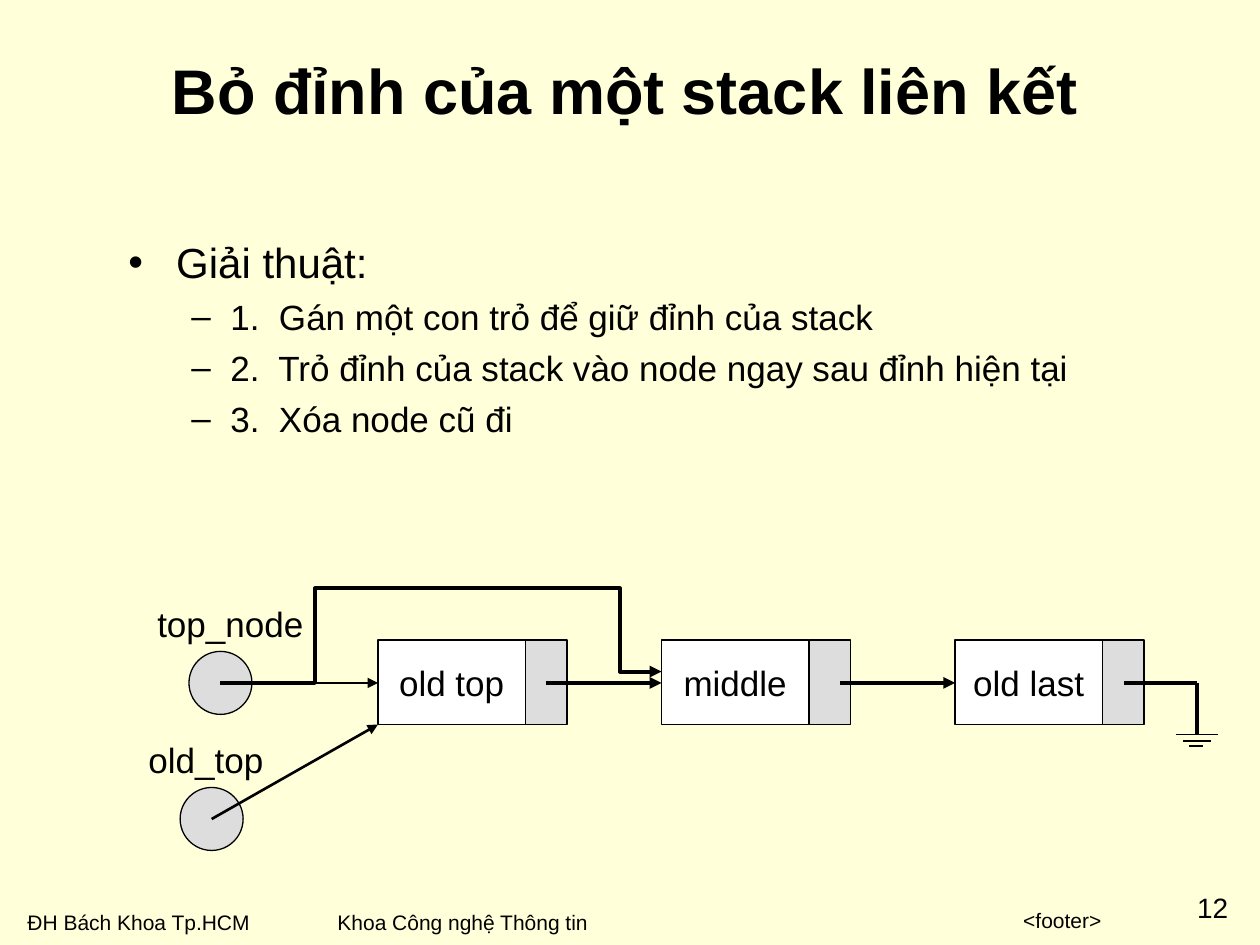
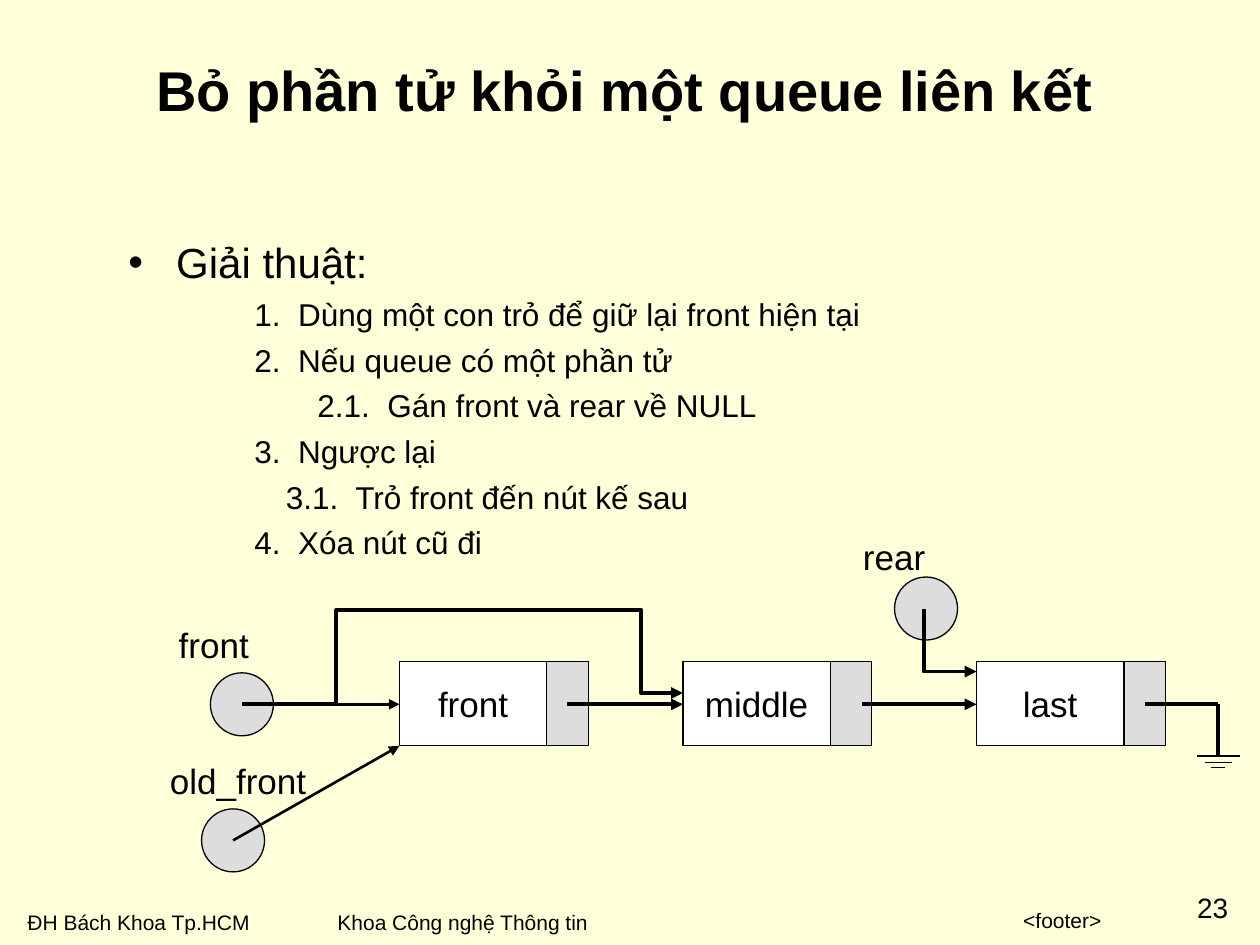
from lxml.etree import SubElement
from pptx import Presentation
from pptx.dml.color import RGBColor
from pptx.enum.shapes import MSO_CONNECTOR, MSO_SHAPE
from pptx.enum.text import MSO_ANCHOR, MSO_AUTO_SIZE, PP_ALIGN
from pptx.oxml.ns import qn
from pptx.util import Inches, Pt

HUES = {"page": "FFFFD9", "ink": "000000", "node": "FFFFFF", "link": "DDDDDD"}
RGB = {name: RGBColor.from_string(hue) for name, hue in HUES.items()}
FIT = MSO_AUTO_SIZE.SHAPE_TO_FIT_TEXT
LEFT, MID, RIGHT = PP_ALIGN.LEFT, PP_ALIGN.CENTER, PP_ALIGN.RIGHT

STYLES = {
    "title": ({"word_wrap": True, "vertical_anchor": MSO_ANCHOR.MIDDLE}, MID, True),
    "body": ({"word_wrap": True}, LEFT, False),
    "label": ({"word_wrap": False, "auto_size": FIT}, LEFT, False),
    "node": ({"word_wrap": False, "vertical_anchor": MSO_ANCHOR.MIDDLE}, MID, False),
    "foot": ({"word_wrap": True, "auto_size": FIT}, RIGHT, False),
    "page": ({"word_wrap": True, "auto_size": FIT, "margin_left": 0, "margin_right": 0,
              "margin_top": 0, "margin_bottom": 0}, MID, False),
}

LEVELS = {
    "top": (24, 0.38, -0.38, 6, "•"),
    "dash": (20, 0.81, -0.31, 5, "–"),
    "step": (18, 1.25, -0.25, 4.5, None),
    "tab": (18, 1.25, 0, 4.5, None),
    "sub": (18, 1.75, -0.25, 4.5, None),
}


def write(shape, style, rows):
    look, align, bold = STYLES[style]
    frame = shape.text_frame
    for key, value in look.items():
        setattr(frame, key, value)
    for i, (text, size) in enumerate(rows):
        para = frame.add_paragraph() if i else frame.paragraphs[0]
        para.alignment = align
        if size in LEVELS:
            size, left, first, gap, mark = LEVELS[size]
            para.space_before = Pt(gap)
            props = para._p.get_or_add_pPr()
            props.set("marL", str(Inches(left)))
            props.set("indent", str(Inches(first)))
            if mark:
                SubElement(props, qn("a:buFont"), typeface="Arial")
                SubElement(props, qn("a:buChar"), char=mark)
            else:
                SubElement(props, qn("a:buNone"))
        run = para.add_run()
        run.text = text
        for key, value in {"name": "Arial", "size": Pt(size), "bold": bold}.items():
            setattr(run.font, key, value)
        run.font.color.rgb = RGB["ink"]


def trace(shapes, points, width, arrow=False):
    spots = [(Inches(x), Inches(y)) for x, y in points]
    if len(spots) == 2:
        item = shapes.add_connector(MSO_CONNECTOR.STRAIGHT, *spots[0], *spots[1])
        SubElement(item._element.spPr, qn("a:effectLst"))
    else:
        pen = shapes.build_freeform(*spots[0])
        pen.add_line_segments(spots[1:], close=False)
        item = pen.convert_to_shape()
        item.shadow.inherit = False
        item.fill.background()
    item.line.color.rgb = RGB["ink"]
    item.line.width = Pt(width)
    if arrow:
        SubElement(item.get_or_add_ln(), qn("a:tailEnd"), type="triangle")


SLIDES = [
    {
        "title": ("Bỏ đỉnh của một stack liên kết", 36),
        "page": "12",
        "shift": 0,
        "body": [
            ("Giải thuật:", "top"),
            ("1.  Gán một con trỏ để giữ đỉnh của stack", "dash"),
            ("2.  Trỏ đỉnh của stack vào node ngay sau đỉnh hiện tại", "dash"),
            ("3.  Xóa node cũ đi", "dash"),
        ],
        "nodes": ["old top", "middle", "old last"],
        "heads": [("old_top", 1.43, 6.25, 0.44, 1.15), ("top_node", 1.5, 5.17, 0.44, 1.4)],
    },
    {
        "title": ("Bỏ phần tử khỏi một queue liên kết", 32),
        "page": "23",
        "shift": 0.17,
        "body": [
            ("Giải thuật:", "top"),
            ("1.  Dùng một con trỏ để giữ lại front hiện tại", "step"),
            ("2.  Nếu queue có một phần tử", "step"),
            ("2.1.  Gán front và rear về NULL", "sub"),
            ("3.  Ngược lại", "step"),
            ("3.1.  Trỏ front đến nút kế sau", "tab"),
            ("4.  Xóa nút cũ đi", "step"),
        ],
        "nodes": ["front", "middle", "last"],
        "heads": [("old_front", 1.43, 6.25, 0.44, 1.32), ("front", 1.5, 5.17, 0.44, 0.8),
                  ("rear", 6.93, 4.41, 0.38, 0.75)],
    },
]

LINES = [
    ([(1.68, 6.5), (3, 5.75)], 1.5, True),
    ([(1.75, 5.42), (3, 5.42)], 1.5, True),
    ([(4.33, 5.42), (5.25, 5.42)], 2.25, True),
    ([(6.67, 5.42), (7.58, 5.42)], 2.25, True),
    ([(8.92, 5.42), (9.5, 5.42)], 2.25, False),
    ([(9.5, 5.42), (9.5, 5.83)], 2.25, False),
    ([(9.33, 5.83), (9.67, 5.83)], 0.75, False),
    ([(9.39, 5.88), (9.61, 5.88)], 0.75, False),
    ([(9.44, 5.92), (9.55, 5.92)], 0.75, False),
    ([(1.75, 5.42), (2.5, 5.42), (2.5, 4.67), (4.92, 4.67), (4.92, 5.33), (5.25, 5.33)],
     2.25, True),
]
REAR = ([(7.16, 4.66), (7.16, 5.16), (7.58, 5.16)], 2.25, True)

deck = Presentation()
deck.slide_width, deck.slide_height = Inches(10), Inches(7.5)

for data in SLIDES:
    slide = deck.slides.add_slide(deck.slide_layouts[6])
    slide.background.fill.solid()
    slide.background.fill.fore_color.rgb = RGB["page"]
    shapes = slide.shapes
    shift = data["shift"]

    texts = [
        ("label", (0.12, 7.17, 1.97, 0.3), [("ĐH Bách Khoa Tp.HCM", 12)]),
        ("foot", (3.17, 7.15, 5.67, 0.3), [("<footer>", 12)]),
        ("page", (9.41, 7.07, 0.43, 0.27), [(data["page"], 16)]),
        ("label", (2.58, 7.17, 2.19, 0.3), [("Khoa Công nghệ Thông tin", 12)]),
        ("title", (0.92, 0.08, 8.08, 1.25), [data["title"]]),
        ("body", (0.92, 1.83, 8.92, 5.08), data["body"]),
    ]
    parts = []
    for name, x, y, rise, wide in data["heads"]:
        x, y = x + shift, y + shift
        parts.append((MSO_SHAPE.OVAL, "link", (x, y, 0.5, 0.5), None))
        texts.append(("label", (x - 0.35, y - rise, wide, 0.44), [(name, 20)]))
    for name, x in zip(data["nodes"], (3, 5.25, 7.58)):
        x, y = x + shift, 5.08 + shift
        parts.append((MSO_SHAPE.RECTANGLE, "node", (x, y, 1.17, 0.67), name))
        parts.append((MSO_SHAPE.RECTANGLE, "link", (x + 1.17, y, 0.33, 0.67), None))

    for style, box, rows in texts:
        write(shapes.add_textbox(*map(Inches, box)), style, rows)

    for kind, hue, box, name in parts:
        part = shapes.add_shape(kind, *map(Inches, box))
        part.shadow.inherit = False
        part.fill.solid()
        part.fill.fore_color.rgb = RGB[hue]
        part.line.color.rgb = RGB["ink"]
        part.line.width = Pt(0.75)
        if name:
            write(part, "node", [(name, 20)])

    for points, width, arrow in LINES + [REAR] * (len(data["heads"]) - 2):
        trace(shapes, [(x + shift, y + shift) for x, y in points], width, arrow)

deck.save("out.pptx")
